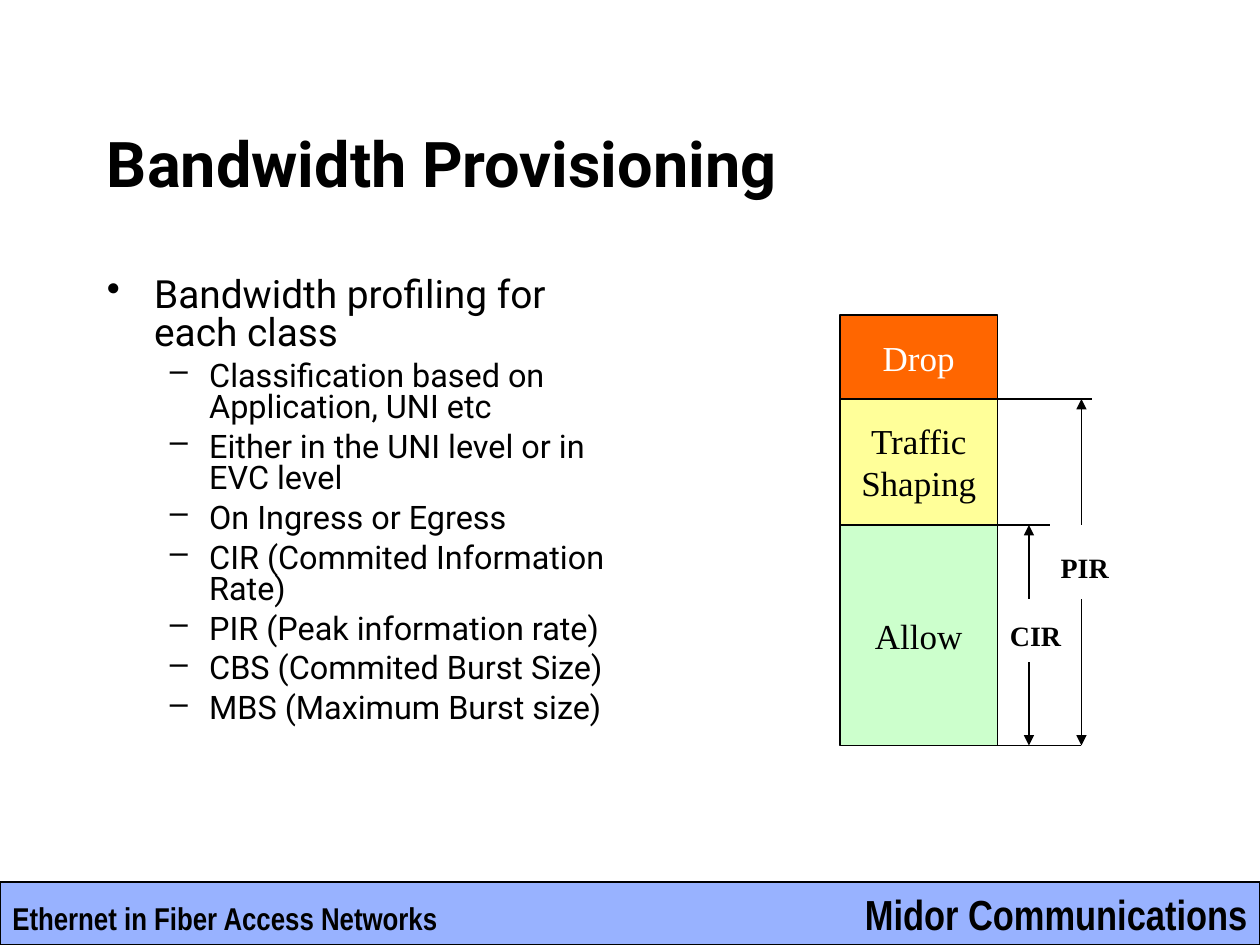
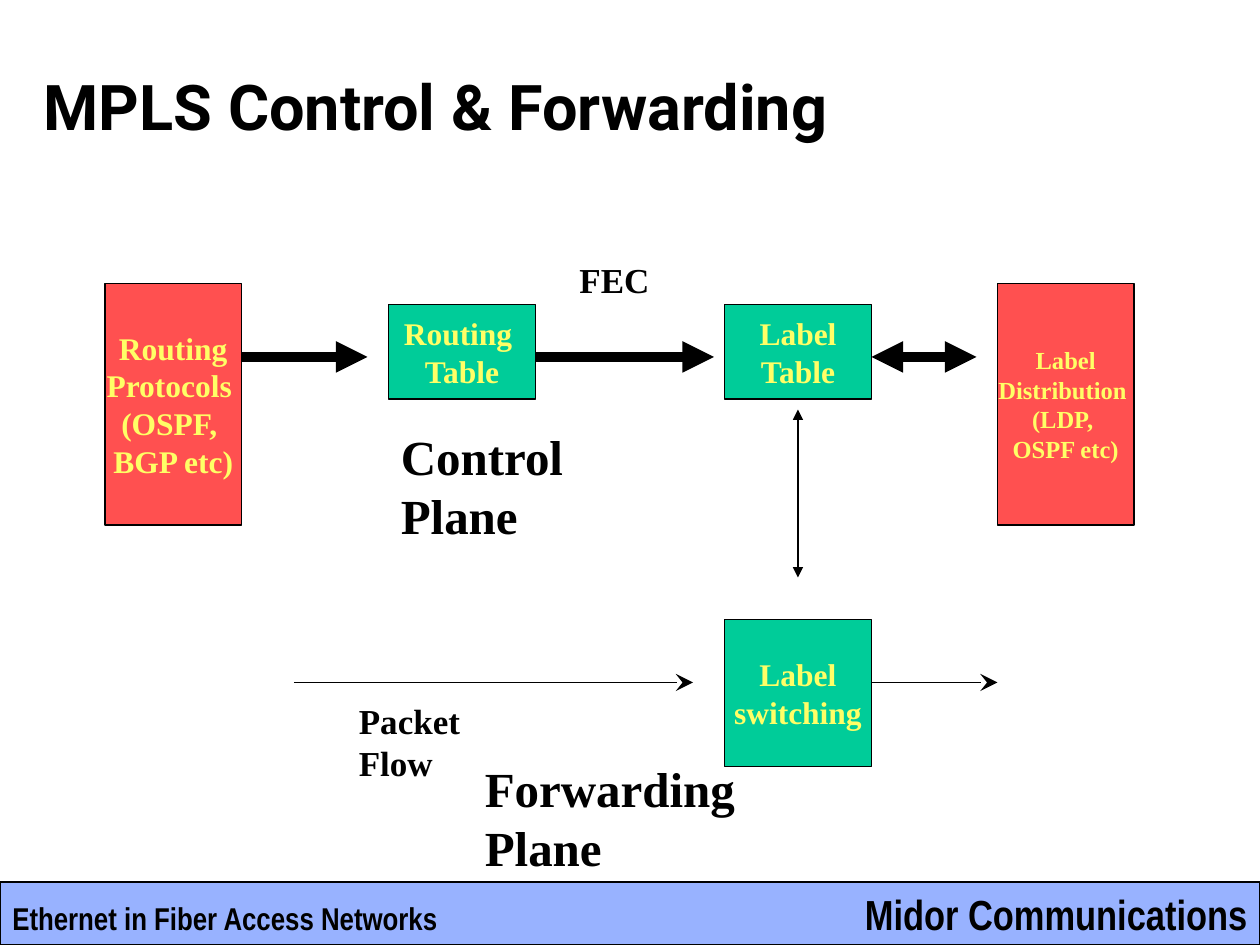
from lxml.etree import SubElement
from pptx import Presentation
from pptx.dml.color import RGBColor
from pptx.enum.shapes import MSO_CONNECTOR, MSO_SHAPE
from pptx.enum.text import MSO_ANCHOR, PP_ALIGN
from pptx.oxml.ns import qn
from pptx.util import Pt

COLORS = {
    "ink": "000000",
    "white": "FFFFFF",
    "band": "3366FF",
    "allow": "CCFFCC",
    "shape": "FFFF99",
    "drop": "FF6600",
    "table": "00CC99",
    "protocol": "FF5050",
    "node_text": "FFFF66",
}
SERIF, SANS, NARROW = "Times New Roman", "Roboto", "Arial Narrow"
WIDTH, HEIGHT = 720, 540
BAND_HEIGHT = 36


def color(name):
    return RGBColor.from_string(COLORS[name])


def style(paragraph, size, font=SERIF, bold=False, ink="ink"):
    paragraph.font.size = Pt(size)
    paragraph.font.name = font
    paragraph.font.bold = bold
    paragraph.font.color.rgb = color(ink)


def add_text(slide, text, left, top, width, height, size, font=SERIF,
             bold=True, wrap=False, anchor=MSO_ANCHOR.TOP, align=PP_ALIGN.LEFT):
    box = slide.shapes.add_textbox(Pt(left), Pt(top), Pt(width), Pt(height))
    frame = box.text_frame
    frame.word_wrap = wrap
    frame.vertical_anchor = anchor
    frame.text = text
    for paragraph in frame.paragraphs:
        paragraph.alignment = align
        style(paragraph, size, font, bold)


def add_box(slide, left, top, width, height, fill, text="", size=18,
            bold=True, ink="node_text"):
    shape = slide.shapes.add_shape(
        MSO_SHAPE.RECTANGLE, Pt(left), Pt(top), Pt(width), Pt(height))
    shape.shadow.inherit = False
    shape.fill.solid()
    shape.fill.fore_color.rgb = color(fill)
    shape.line.color.rgb = color("ink")
    shape.line.width = Pt(0.75)
    if text:
        frame = shape.text_frame
        frame.word_wrap = False
        frame.vertical_anchor = MSO_ANCHOR.MIDDLE
        frame.text = text
        for paragraph in frame.paragraphs:
            paragraph.alignment = PP_ALIGN.CENTER
            style(paragraph, size, SERIF, bold, ink)
    return shape


def add_line(slide, start, end, width=0.75, head=None, tail=None, tip="med"):
    """Draw a line; head is the arrowhead at start, tail the one at end."""
    line = slide.shapes.add_connector(
        MSO_CONNECTOR.STRAIGHT, *(Pt(value) for value in (*start, *end)))
    line.line.color.rgb = color("ink")
    line.line.width = Pt(width)
    outline = line.line._get_or_add_ln()
    for tag, kind in (("a:headEnd", head), ("a:tailEnd", tail)):
        if kind:
            SubElement(outline, qn(tag), type=kind, w=tip, len=tip)
    SubElement(line._element.spPr, qn("a:effectLst"))


def add_footer(slide):
    top = HEIGHT - BAND_HEIGHT
    band = add_box(slide, 0, top, WIDTH, BAND_HEIGHT, "band")
    fill_color = band._element.spPr.find(qn("a:solidFill"))[0]
    SubElement(fill_color, qn("a:alpha"), val="50000")
    add_text(slide, "Midor Communications", 484.5, top, 235.5, BAND_HEIGHT,
             24, NARROW, align=PP_ALIGN.RIGHT)
    add_text(slide, "Ethernet in Fiber Access Networks", 0, top + 6, 258, 29,
             18, NARROW)


def add_slide(presentation, title, left, top, height):
    """Add a blank slide with the shared footer and title style."""
    slide = presentation.slides.add_slide(presentation.slide_layouts[6])
    add_footer(slide)
    add_text(slide, title, left, top, 612, height, 36, SANS, wrap=True,
             anchor=MSO_ANCHOR.MIDDLE)
    return slide


def add_bullets(slide, heading, items, left, top, width, height):
    box = slide.shapes.add_textbox(Pt(left), Pt(top), Pt(width), Pt(height))
    frame = box.text_frame
    frame.word_wrap = True
    for index, text in enumerate([heading, *items]):
        if index == 0:
            paragraph = frame.paragraphs[0]
            mark, margin, hanging, size = "•", 27, 27, 22.2
        else:
            paragraph = frame.add_paragraph()
            paragraph.level = 1
            paragraph.space_before = Pt(5)
            mark, margin, hanging, size = "–", 58.5, 22.5, 18.5
        paragraph.text = text
        paragraph.line_spacing = 0.8
        properties = paragraph._p.get_or_add_pPr()
        properties.set("marL", str(Pt(margin)))
        properties.set("indent", str(-Pt(hanging)))
        SubElement(properties, qn("a:buChar"), char=mark)
        style(paragraph, size, SANS)


def add_bandwidth_stack(slide, left, top, width):
    """Stack the traffic classes and measure CIR and PIR beside them."""
    levels = [("Drop", 48, "drop", "white"),
              ("Traffic\nShaping", 72, "shape", "ink"),
              ("Allow", 126, "allow", "ink")]
    edges = [top]
    for text, height, fill, ink in levels:
        add_box(slide, left, edges[-1], width, height, fill, text, 20, False, ink)
        edges.append(edges[-1] + height)
    _, peak, committed, base = edges

    right = left + width
    for level, length in ((committed, 30), (base, 48), (peak, 54)):
        add_line(slide, (right, level), (right + length, level))

    rates = [("CIR", 18, committed, 42, 78, 0, 50),
             ("PIR", 48, peak, 0, 42, 29, 11)]
    for name, offset, level, gap_start, gap_end, label_left, label_top in rates:
        x = right + offset
        add_line(slide, (x, level), (x, committed + gap_start), head="triangle")
        add_line(slide, (x, base), (x, committed + gap_end), head="triangle")
        add_text(slide, name, right + label_left, committed + label_top, 54, 27,
                 16)


def add_control_plane(slide, left, top):
    node_top, flow_y = top + 30, top + 60
    protocols = "Routing\nProtocols \n(OSPF, \nBGP etc)"
    distribution = "Label\nDistribution \n(LDP, \nOSPF etc)"
    for offset, text, size in ((0, protocols, 18), (510, distribution, 14)):
        add_box(slide, left + offset, top + 18, 78, 138, "protocol", text, size)
    for offset, text in ((162, "Routing \nTable"), (354, "Label\nTable")):
        add_box(slide, left + offset, node_top, 84, 54, "table", text)
    for start, end, head in ((78, 150, None), (246, 348, None),
                             (438, 498, "triangle")):
        add_line(slide, (left + start, flow_y), (left + end, flow_y), 6,
                 head, "triangle")
    add_text(slide, "FEC", left + 264, top, 59, 32, 20)
    add_text(slide, "Control\vPlane", left + 162, top + 96, 180, 75, 28, wrap=True)


def add_forwarding_plane(slide, left, top):
    flow_y = top + 36
    add_box(slide, left + 246, top, 84, 84, "table", "Label\nswitching")
    for start, end in ((0, 228), (330, 402)):
        add_line(slide, (left + start, flow_y), (left + end, flow_y),
                 tail="stealth", tip="lg")
    add_line(slide, (left + 288, top - 24), (left + 288, top - 120),
             head="triangle", tail="triangle")
    add_text(slide, "Packet\vFlow", left + 30, top + 42, 108, 55, 20, wrap=True)
    add_text(slide, "Forwarding\vPlane", left + 102, top + 76, 180, 75, 28,
             wrap=True)


def add_bandwidth_slide(presentation):
    slide = add_slide(presentation, "Bandwidth Provisioning", 54, 48, 90)
    add_bullets(slide, "Bandwidth profiling for each class", [
        "Classification based on Application, UNI etc",
        "Either in the UNI level or in EVC level",
        "On Ingress or Egress",
        "CIR (Commited Information Rate)",
        "PIR (Peak information rate)",
        "CBS (Commited Burst Size)",
        "MBS (Maximum Burst size)",
    ], 54, 156, 318, 324)
    add_bandwidth_stack(slide, 480, 180, 90)


def add_mpls_slide(presentation):
    slide = add_slide(presentation, "MPLS Control & Forwarding", 18, 30, 60)
    add_control_plane(slide, 60, 144)
    add_forwarding_plane(slide, 168, 354)


def main():
    presentation = Presentation()
    presentation.slide_width = Pt(WIDTH)
    presentation.slide_height = Pt(HEIGHT)
    add_bandwidth_slide(presentation)
    add_mpls_slide(presentation)
    presentation.save("out.pptx")


if __name__ == "__main__":
    main()
